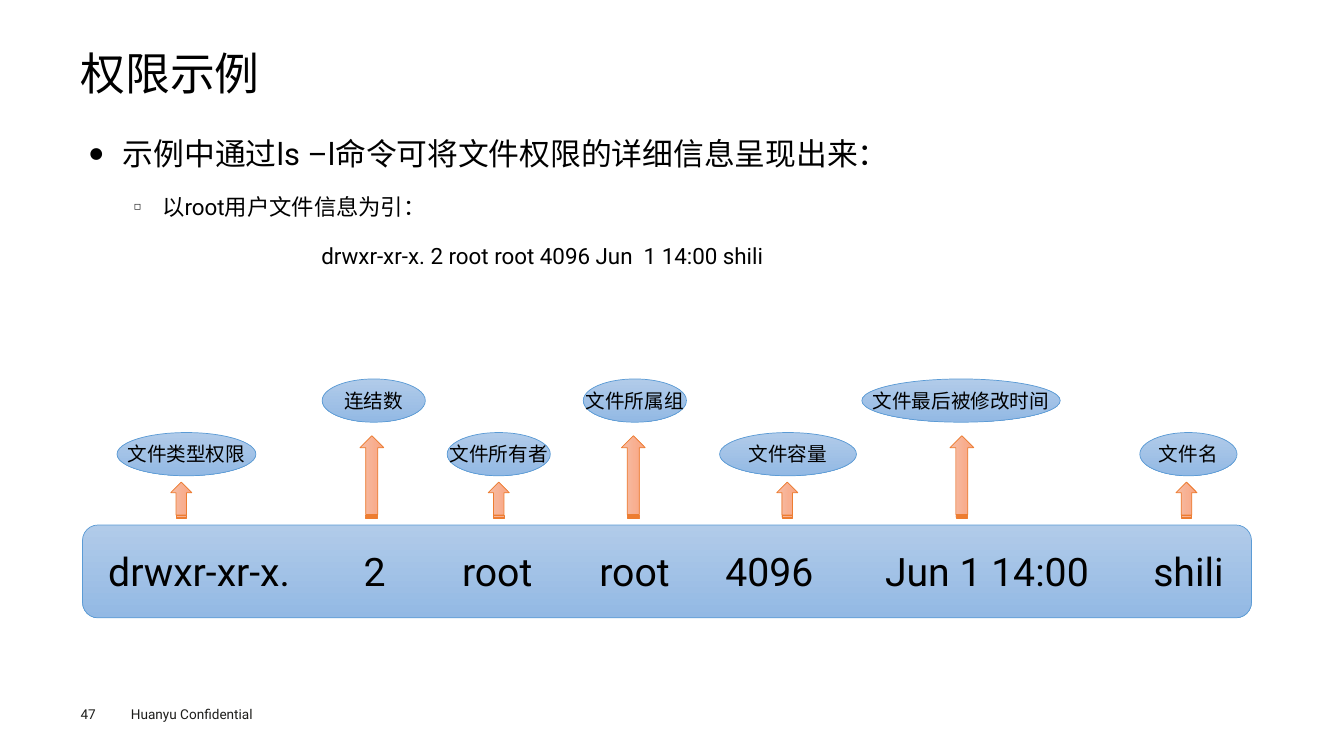
from dataclasses import dataclass

from lxml.etree import SubElement
from pptx import Presentation
from pptx.dml.color import RGBColor
from pptx.enum.shapes import MSO_SHAPE
from pptx.enum.text import MSO_ANCHOR, PP_ALIGN
from pptx.oxml.ns import qn
from pptx.util import Cm, Pt


@dataclass(frozen=True)
class Theme:
    font: str = "Roboto"
    ink: str = "000000"
    footer_ink: str = "1D1D1B"
    blue: tuple = ("B1CBE9", "93B9E4", "5B9BD5")  # top, bottom, outline
    orange: tuple = ("F7BDA5", "F8A582", "ED7D31")
    title: float = 32
    lead: float = 22
    detail: float = 16
    value: float = 28
    label: float = 14
    footer: float = 9.7


THEME = Theme()

# Vertical rhythm of the diagram, in cm
ARROW_FOOT = 13.06
LABEL_HEIGHT = 1.09
LABEL_TOP = {"high": 9.55, "low": 10.9}
ARROW_SIZE = {"high": (2.08, 0.6), "low": (0.91, 0.53)}  # length, thickness
VALUE_TOP, VALUE_HEIGHT = 13.67, 1.45

# value, its centre and width; label, its centre, width and row; arrow centre
FIELDS = [
    ("drwxr-xr-x.", 5.02, 5.36, "文件类型权限", 4.7, 3.5, "low", 4.57),
    ("2", 9.44, 4.75, "连结数", 9.42, 2.6, "high", 9.37),
    ("root", 12.53, 4.75, "文件所有者", 12.57, 2.6, "low", 12.57),
    ("root", 15.99, 4.75, "文件所属组", 16, 2.6, "high", 15.96),
    ("4096", 19.39, 4.75, "文件容量", 19.86, 3.45, "low", 19.84),
    ("Jun 1 14:00", 24.87, 6.55, "文件最后被修改时间", 24.22, 5, "high", 24.24),
    ("shili", 29.95, 2.29, "文件名", 29.95, 2.45, "low", 29.9),
]

# text, size, left margin, hanging indent, bullet
BODY = [
    ("示例中通过ls –l命令可将文件权限的详细信息呈现出来：", THEME.lead, 0.84, -0.84, "●"),
    ("以root用户文件信息为引：", THEME.detail, 1.83, -0.71, "◻"),
    ("drwxr-xr-x. 2 root root 4096 Jun  1 14:00 shili", THEME.detail, 5.84, 0, None),
]


def add_run(p, text, size, color=THEME.ink):
    r = p.add_run()
    r.text = text
    r.font.size = Pt(size)
    r.font.name = THEME.font
    r.font.color.rgb = RGBColor.from_string(color)
    SubElement(r._r.get_or_add_rPr(), qn("a:ea"), typeface=THEME.font)


def add_text_frame(slide, left, top, width, height, inset=(0, 0), anchor=MSO_ANCHOR.MIDDLE):
    """Add a wrapping text box; inset is (horizontal, vertical) in cm."""
    tf = slide.shapes.add_textbox(Cm(left), Cm(top), Cm(width), Cm(height)).text_frame
    tf.word_wrap = True
    tf.vertical_anchor = anchor
    tf.margin_left = tf.margin_right = Cm(inset[0])
    tf.margin_top = tf.margin_bottom = Cm(inset[1])
    return tf


def set_indent(p, left, first, bullet):
    pPr = p._p.get_or_add_pPr()
    pPr.set("marL", str(Cm(left)))
    pPr.set("indent", str(Cm(first)))
    if bullet:
        SubElement(pPr, qn("a:buSzPct"), val="50000")
        SubElement(pPr, qn("a:buFont"), typeface=THEME.font)
        SubElement(pPr, qn("a:buChar"), char=bullet)


def add_gradient_shape(slide, kind, left, top, width, height, colors):
    sp = slide.shapes.add_shape(kind, Cm(left), Cm(top), Cm(width), Cm(height))
    sp.shadow.inherit = False
    sp.fill.gradient()
    sp.fill.gradient_angle = 270
    for stop, color in zip(sp.fill.gradient_stops, colors):
        stop.color.rgb = RGBColor.from_string(color)
    sp.line.color.rgb = RGBColor.from_string(colors[2])
    sp.line.width = Pt(0.5)
    return sp


def add_label(slide, text, center, width, row):
    sp = add_gradient_shape(slide, MSO_SHAPE.OVAL, center - width / 2, LABEL_TOP[row],
                            width, LABEL_HEIGHT, THEME.blue)
    tf = sp.text_frame
    tf.word_wrap = False
    tf.vertical_anchor = MSO_ANCHOR.MIDDLE
    p = tf.paragraphs[0]
    p.alignment = PP_ALIGN.CENTER
    add_run(p, text, THEME.label)


def add_up_arrow(slide, center, row):
    """Turn a striped right arrow upwards, its foot on the common line."""
    length, thickness = ARROW_SIZE[row]
    middle = ARROW_FOOT - length / 2
    sp = add_gradient_shape(slide, MSO_SHAPE.STRIPED_RIGHT_ARROW, center - length / 2,
                            middle - thickness / 2, length, thickness, THEME.orange)
    sp.rotation = 270


def add_value(slide, text, center, width):
    tf = add_text_frame(slide, center - width / 2, VALUE_TOP, width, VALUE_HEIGHT, (0.25, 0.13))
    p = tf.paragraphs[0]
    p.alignment = PP_ALIGN.CENTER
    add_run(p, text, THEME.value)


def add_title(slide, text):
    p = add_text_frame(slide, 2.03, 1.24, 29.8, 1.35).paragraphs[0]
    p.line_spacing = 0.9
    add_run(p, text, THEME.title)


def add_body(slide):
    tf = add_text_frame(slide, 2.03, 2.92, 29.8, 13.56, (0.23, 0.1), MSO_ANCHOR.TOP)
    for i, (text, size, left, first, bullet) in enumerate(BODY):
        p = tf.add_paragraph() if i else tf.paragraphs[0]
        p.alignment = PP_ALIGN.JUSTIFY
        p.line_spacing = 1.4
        p.space_before = Pt(7.9)
        set_indent(p, left, first, bullet)
        add_run(p, text, size)


def add_footer(slide, number, note):
    for text, left, width in ((number, 2.03, 1.4), (note, 3.3, 4)):
        p = add_text_frame(slide, left, 17.78, width, 0.41).paragraphs[0]
        add_run(p, text, THEME.footer, THEME.footer_ink)


def main():
    prs = Presentation()
    prs.slide_width, prs.slide_height = Cm(33.87), Cm(19.05)
    slide = prs.slides.add_slide(prs.slide_layouts[6])
    add_footer(slide, "47", "Huanyu Confidential")
    add_title(slide, "权限示例")
    add_body(slide)
    add_gradient_shape(slide, MSO_SHAPE.ROUNDED_RECTANGLE, 2.08, 13.23, 29.46, 2.34, THEME.blue)
    for value, value_x, value_w, label, label_x, label_w, row, arrow_x in FIELDS:
        add_value(slide, value, value_x, value_w)
        add_up_arrow(slide, arrow_x, row)
        add_label(slide, label, label_x, label_w, row)
    prs.save("out.pptx")


if __name__ == "__main__":
    main()
